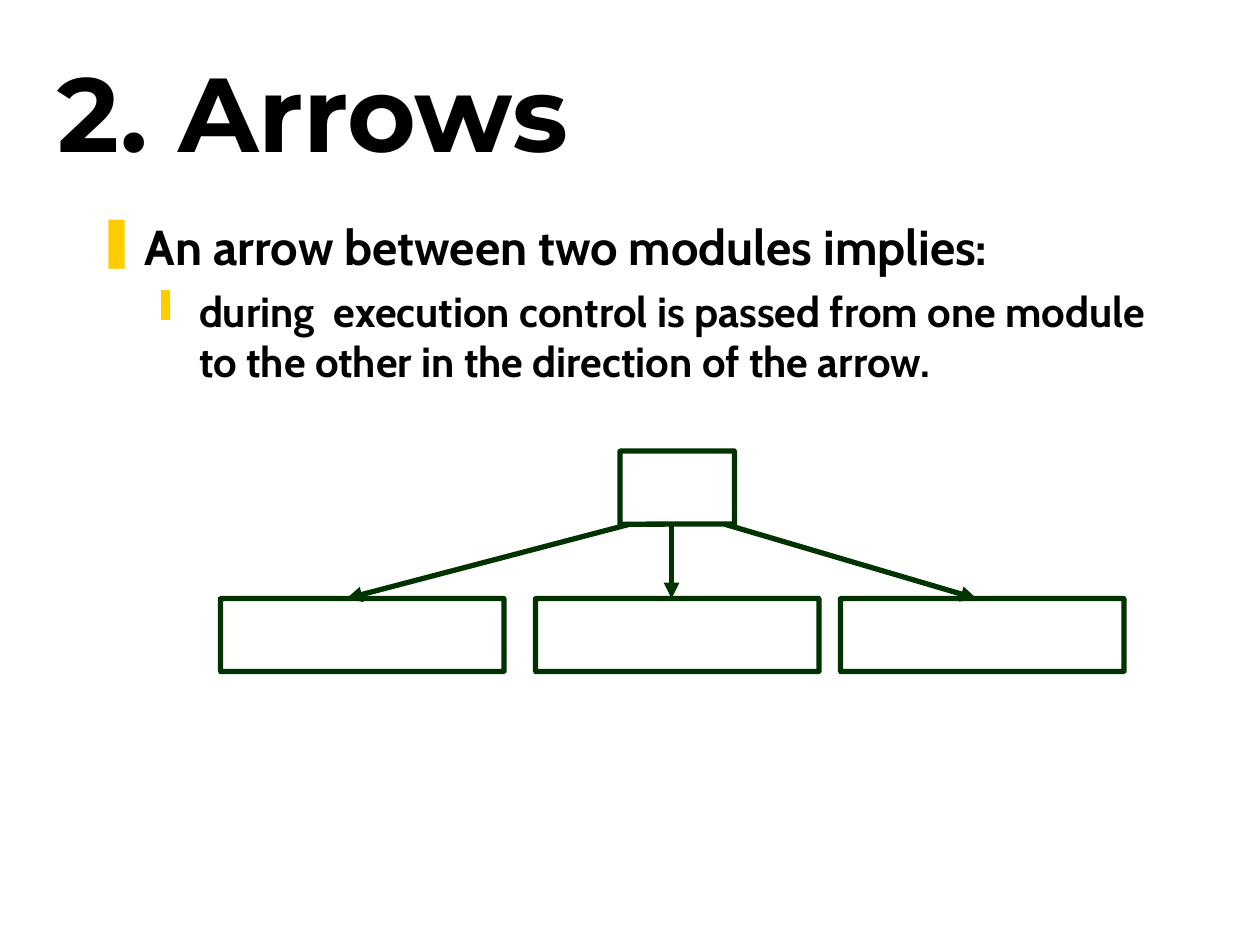
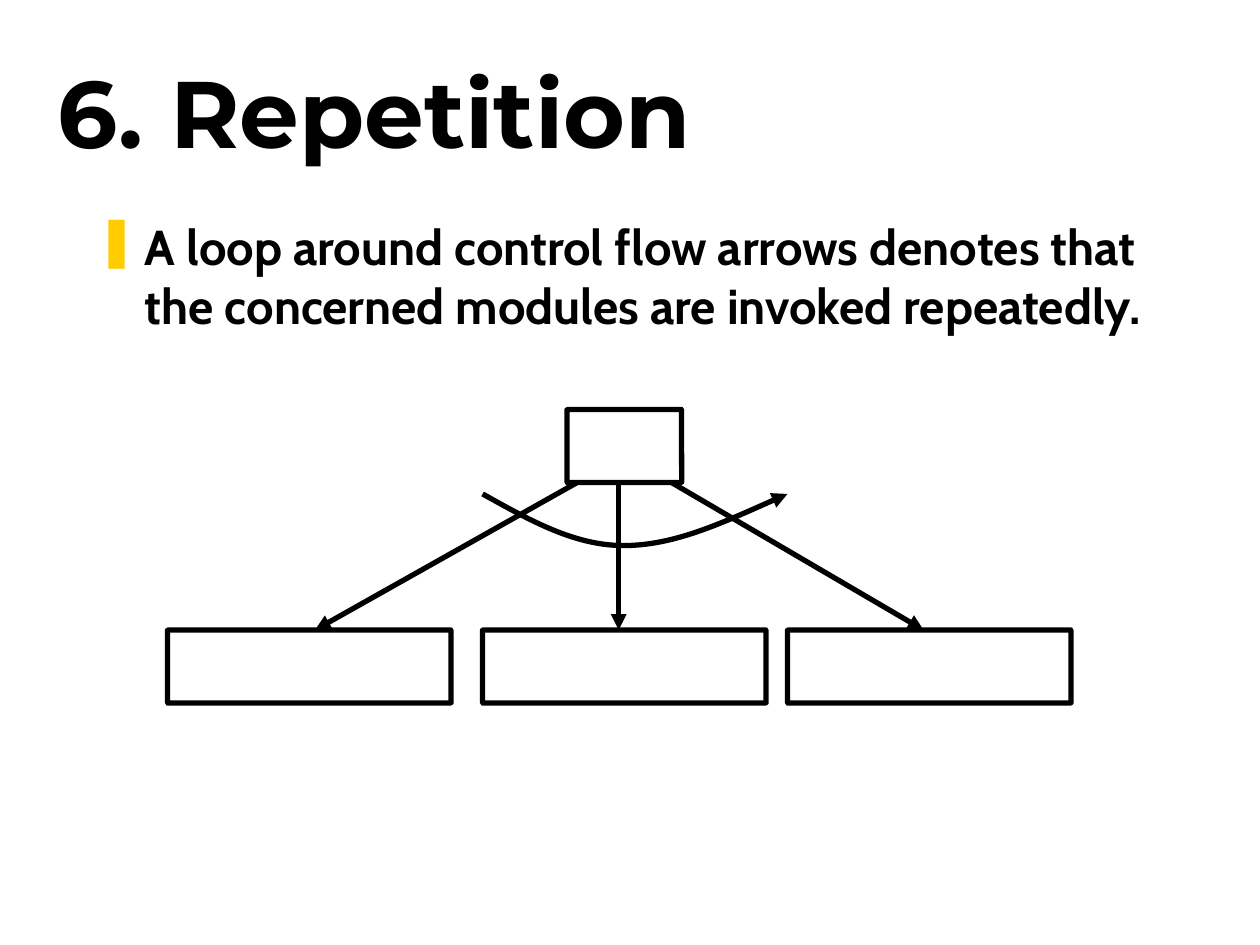
from dataclasses import dataclass
from pptx import Presentation
from pptx.dml.color import RGBColor as RGB
from pptx.enum.shapes import MSO_CONNECTOR as Link, MSO_SHAPE as Shape
from pptx.enum.text import MSO_ANCHOR as Anchor
from pptx.oxml.ns import qn
from pptx.oxml.xmlchemy import OxmlElement as Node
from pptx.util import Inches, Pt


@dataclass(frozen=True)
class Theme:
    head: str = "Montserrat"
    body: str = "Cabin"
    black: str = "000000"
    green: str = "003300"
    gold: str = "FFCC00"
    stroke: float = 3


THEME = Theme()
# mark, size, indent, hang and space before for each list level
LEVELS = [("❚", 28, 0.38, 0.38, 0), ("❙", 24, 0.81, 0.31, 5.5)]

# Flow chart offsets from the left edge of the caller box
CALLER = (0.91, 0.58)
CALLEE = (2.25, 0.58)
CALLEES = (-3.17, -0.67, 1.75)
STARTS = (0.08, 0.41, 0.83)


def add_node(parent, tag, **attrs):
    node = Node(tag)
    for key, value in attrs.items():
        node.set(key, str(value))
    parent.append(node)
    return node


def style_font(font, name, size):
    look = {"name": name, "size": Pt(size), "bold": True}
    for key, value in look.items():
        setattr(font, key, value)
    font.color.rgb = RGB.from_string(THEME.black)


def add_frame(slide, left, top, width, height, anchor):
    box = slide.shapes.add_textbox(*map(Inches, (left, top, width, height)))
    frame = box.text_frame
    look = {"word_wrap": True, "vertical_anchor": anchor,
            "margin_left": Inches(0.02), "margin_right": Inches(0.02),
            "margin_top": Inches(0.05), "margin_bottom": Inches(0.05)}
    for key, value in look.items():
        setattr(frame, key, value)
    return frame


def add_title(slide, text, size):
    frame = add_frame(slide, 0.44, 0.25, 8.5, 1.25, Anchor.MIDDLE)
    para = frame.paragraphs[0]
    para.text = text
    style_font(para.font, THEME.head, size)


def add_list(slide, lines):
    """Write (level, text) pairs as a bulleted list."""
    frame = add_frame(slide, 0.75, 1.67, 8.5, 4.5, Anchor.TOP)
    for index, (level, text) in enumerate(lines):
        mark, size, indent, hang, space = LEVELS[level]
        para = frame.add_paragraph() if index else frame.paragraphs[0]
        para.text = text
        para.level = level
        para.space_before = Pt(space)
        props = para._p.get_or_add_pPr()
        props.set("marL", str(Inches(indent)))
        props.set("indent", str(-Inches(hang)))
        tint = add_node(props, "a:buClr")
        add_node(tint, "a:srgbClr", val=THEME.gold)
        add_node(props, "a:buChar", char=mark)
        style_font(para.font, THEME.body, size)


def style_line(shape, color, tail=False):
    line = shape.line
    line.color.rgb = RGB.from_string(color)
    line.width = Pt(THEME.stroke)
    edge = line._get_or_add_ln()
    add_node(edge, "a:round")
    if tail:
        add_node(edge, "a:tailEnd", type="triangle")


def add_box(slide, left, top, size, color):
    box = slide.shapes.add_shape(
        Shape.ROUNDED_RECTANGLE, *map(Inches, (left, top, *size)))
    box.adjustments[0] = 0.003
    box.shadow.inherit = False
    box.fill.background()
    style_line(box, color)


def add_arrow(slide, start, end, color):
    arrow = slide.shapes.add_connector(
        Link.STRAIGHT, *map(Inches, (*start, *end)))
    style_line(arrow, color, tail=True)
    add_node(arrow._element.spPr, "a:effectLst")


def add_curve(slide, points, color):
    """Draw an arrow of Bezier arcs; points are a start, then three per arc."""
    spots = [(Inches(x), Inches(y)) for x, y in points]
    form = slide.shapes.build_freeform(*spots[0])
    form.add_line_segments(spots[1:], close=False)
    curve = form.convert_to_shape()
    steps = list(curve._element.iter(qn("a:lnTo")))
    track = steps[0].getparent()
    for first in range(0, len(steps), 3):
        arc = add_node(track, "a:cubicBezTo")
        for step in steps[first:first + 3]:
            arc.append(step[0])
            track.remove(step)
    curve.shadow.inherit = False
    curve.fill.background()
    style_line(curve, color, tail=True)


def add_flow(slide, left, top, floor, ends, color):
    """Draw a caller box with arrows to three modules at height floor."""
    add_box(slide, left, top, CALLER, color)
    for shift in CALLEES:
        add_box(slide, left + shift, floor, CALLEE, color)
    base = top + CALLER[1]
    for start, end in zip(STARTS, ends):
        add_arrow(slide, (left + start, base), (left + end, floor), color)


def add_slide(deck, title, size, lines):
    slide = deck.slides.add_slide(deck.slide_layouts[6])
    add_title(slide, title, size)
    add_list(slide, lines)
    return slide


def main():
    deck = Presentation()
    deck.slide_width, deck.slide_height = Inches(10), Inches(7.5)

    arrows = add_slide(deck, "2. Arrows", 60, [
        (0, "An arrow between two modules implies:"),
        (1, "during  execution control is passed from one module "
            "to the other in the direction of the arrow."),
    ])
    add_flow(arrows, 4.92, 3.58, 4.75, (-2.17, 0.41, 2.83), THEME.green)

    loop = add_slide(deck, "6. Repetition", 54, [
        (0, "A loop around control flow arrows denotes that "
            "the concerned modules are invoked repeatedly."),
    ])
    add_flow(loop, 4.5, 3.25, 5, (-2, 0.41, 2.83), THEME.black)
    add_curve(loop, [(3.83, 3.92), (4.19, 4.12), (4.55, 4.33), (4.95, 4.33),
                     (5.35, 4.33), (5.8, 4.12), (6.25, 3.92)], THEME.black)

    deck.save("out.pptx")


if __name__ == "__main__":
    main()
